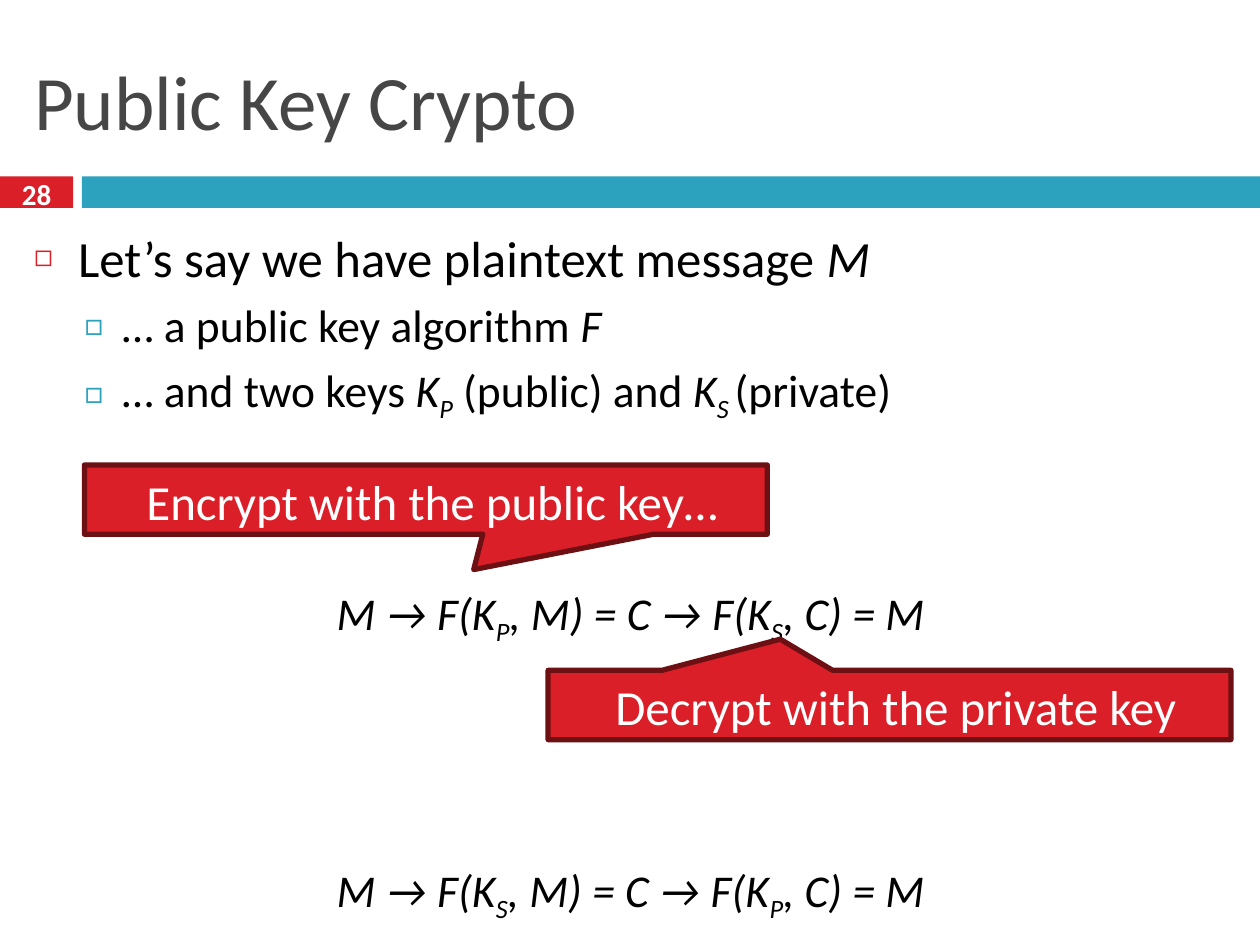
from dataclasses import dataclass

from lxml.etree import SubElement
from pptx import Presentation
from pptx.dml.color import RGBColor
from pptx.enum.shapes import MSO_SHAPE as SHAPE
from pptx.enum.text import MSO_ANCHOR as ANCHOR, MSO_AUTO_SIZE as AUTO, PP_ALIGN as ALIGN
from pptx.oxml.ns import qn
from pptx.util import Inches, Pt


@dataclass(frozen=True)
class Theme:
    font: str = "Calibri"
    red: str = "DA1F28"
    dark_red: str = "6D1014"
    teal: str = "2DA2BF"
    grey: str = "464646"
    black: str = "000000"
    white: str = "FFFFFF"
    title: float = 44
    body: float = 29
    sub: float = 26
    callout: float = 28
    number: float = 16.6


T = Theme()
SUBSCRIPT = "-25000"


def set_attrs(obj, values):
    for name, value in values.items():
        setattr(obj, name, value)


def place(sp, left, top, width, height):
    box = dict(left=left, top=top, width=width, height=height)
    set_attrs(sp, {name: Inches(v) for name, v in box.items()})


def add_run(p, text, size, color, bold=False, italic=False, sub=False):
    r = p.add_run()
    r.text = text
    set_attrs(r.font, dict(name=T.font, size=Pt(size), bold=bold, italic=italic))
    r.font.color.rgb = RGBColor.from_string(color)
    if sub:
        r.font._element.set("baseline", SUBSCRIPT)


def add_math(p, text, size, italic=False):
    for i, part in enumerate(text.split("|")):
        style = part[0] if part[0] in "*_" else ""
        add_run(p, part[len(style):], size, T.black,
                italic=italic or bool(style), sub=style == "_")


def set_bullet(p, char, color, percent, left, hang):
    pPr = p._p.get_or_add_pPr()
    pPr.set("marL", str(Inches(left)))
    pPr.set("indent", str(Inches(-hang)))
    if not char:
        SubElement(pPr, qn("a:buNone"))
        return
    SubElement(SubElement(pPr, qn("a:buClr")), qn("a:srgbClr")).set("val", color)
    SubElement(pPr, qn("a:buSzPct")).set("val", str(percent * 1000))
    SubElement(pPr, qn("a:buFont")).set("typeface", T.font)
    SubElement(pPr, qn("a:buChar")).set("char", char)


def add_bar(shapes, color, *box):
    sp = shapes.add_shape(SHAPE.RECTANGLE, *map(Inches, box))
    sp.shadow.inherit = False
    sp.fill.solid()
    sp.fill.fore_color.rgb = RGBColor.from_string(color)
    sp.line.fill.background()


def add_label(shapes, text, size, box, bold=False, **frame):
    tf = shapes.add_textbox(*map(Inches, box)).text_frame
    set_attrs(tf, dict(word_wrap=True, **frame))
    p = tf.paragraphs[0]
    p.alignment = ALIGN.CENTER
    add_run(p, text, size, T.white, bold=bold)


def add_callout(shapes, text, left, top, tip):
    group = shapes.add_group_shape().shapes
    width, height = 5.42, 0.55
    sp = group.add_shape(SHAPE.RECTANGULAR_CALLOUT,
                         *map(Inches, (left, top, width, height)))
    sp.shadow.inherit = False
    sp._element.spPr.find(qn("a:xfrm")).set("flipH", "1")
    for i, value in enumerate(tip):
        sp.adjustments[i] = value
    sp.fill.solid()
    sp.fill.fore_color.rgb = RGBColor.from_string(T.red)
    sp.line.color.rgb = RGBColor.from_string(T.dark_red)
    sp.line.width = Pt(3)
    add_label(group, text, T.callout, (left + 0.05, top, width, 0.57),
              auto_size=AUTO.SHAPE_TO_FIT_TEXT)


def fill_title(sp, text):
    place(sp, 0.17, 0.25, 9.67, 1.08)
    tf = sp.text_frame
    set_attrs(tf, dict(vertical_anchor=ANCHOR.MIDDLE, auto_size=AUTO.NONE))
    p = tf.paragraphs[0]
    p.alignment = ALIGN.LEFT
    add_run(p, text, T.title, T.grey)


def fill_body(sp):
    place(sp, 0.17, 1.75, 9.67, 5.58)
    tf = sp.text_frame
    set_attrs(tf, dict(vertical_anchor=ANCHOR.TOP, auto_size=AUTO.NONE))
    top = dict(level=0, alignment=ALIGN.LEFT)
    sub = dict(level=1, alignment=ALIGN.LEFT)
    formula = dict(level=1, alignment=ALIGN.CENTER)
    top_bullet = ("◻", T.red, 60, 0.35, 0.35)
    sub_bullet = ("□", T.teal, 70, 0.7, 0.3)
    no_bullet = ("", None, 0, 0, 0)
    lines = [
        ("Let’s say we have plaintext message |*M", T.body, 7, top, top_bullet),
        ("… a public key algorithm |*F", T.sub, 5.5, sub, sub_bullet),
        ("… and two keys |*K|_P| (public) and |*K|_S |(private)",
         T.sub, 5.5, sub, sub_bullet),
        ("M → F(K|_P|, M) = C → F(K|_S|, C) = M", T.sub, 92, formula, no_bullet),
        ("M → F(K|_S|, M) = C → F(K|_P|, C) = M", T.sub, 123, formula, no_bullet),
    ]
    for i, (text, size, before, layout, bullet) in enumerate(lines):
        p = tf.add_paragraph() if i else tf.paragraphs[0]
        set_attrs(p, dict(layout, space_before=Pt(before)))
        set_bullet(p, *bullet)
        add_math(p, text, size, italic=layout is formula)


def main():
    prs = Presentation()
    prs.slide_width, prs.slide_height = Inches(10), Inches(7.5)
    s = prs.slides.add_slide(prs.slide_layouts[1])
    add_bar(s.shapes, T.red, 0, 1.4, 0.58, 0.25)
    add_bar(s.shapes, T.teal, 0.65, 1.4, 9.35, 0.25)
    fill_title(s.shapes.title, "Public Key Crypto")
    add_label(s.shapes, "28", T.number, (0, 1.37, 0.58, 0.33), bold=True,
              vertical_anchor=ANCHOR.MIDDLE, margin_left=0, margin_right=0,
              margin_top=0, margin_bottom=0)
    fill_body(s.placeholders[1])
    add_callout(s.shapes, "Encrypt with the public key…", 0.67, 3.69, (-0.07, 1.01))
    add_callout(s.shapes, "Decrypt with the private key", 4.35, 5.32, (0.16, -0.95))
    prs.save("out.pptx")


if __name__ == "__main__":
    main()
